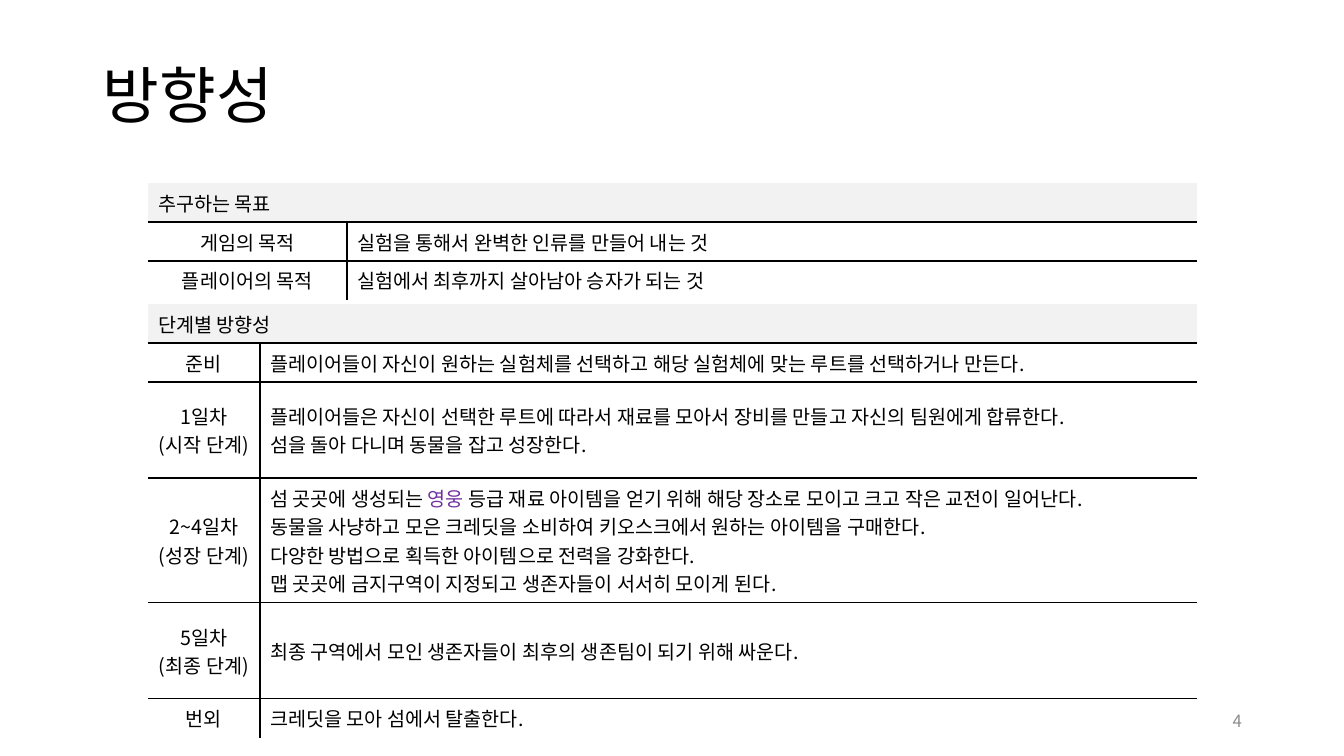
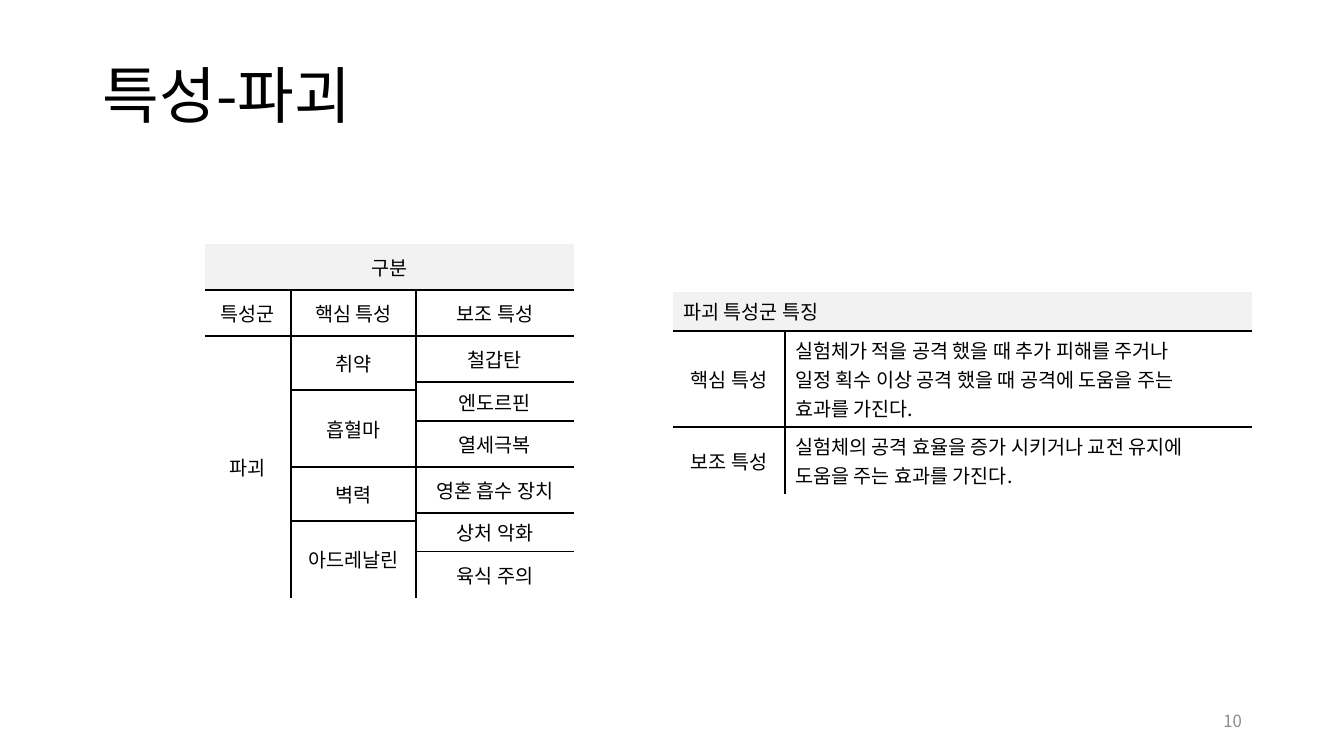
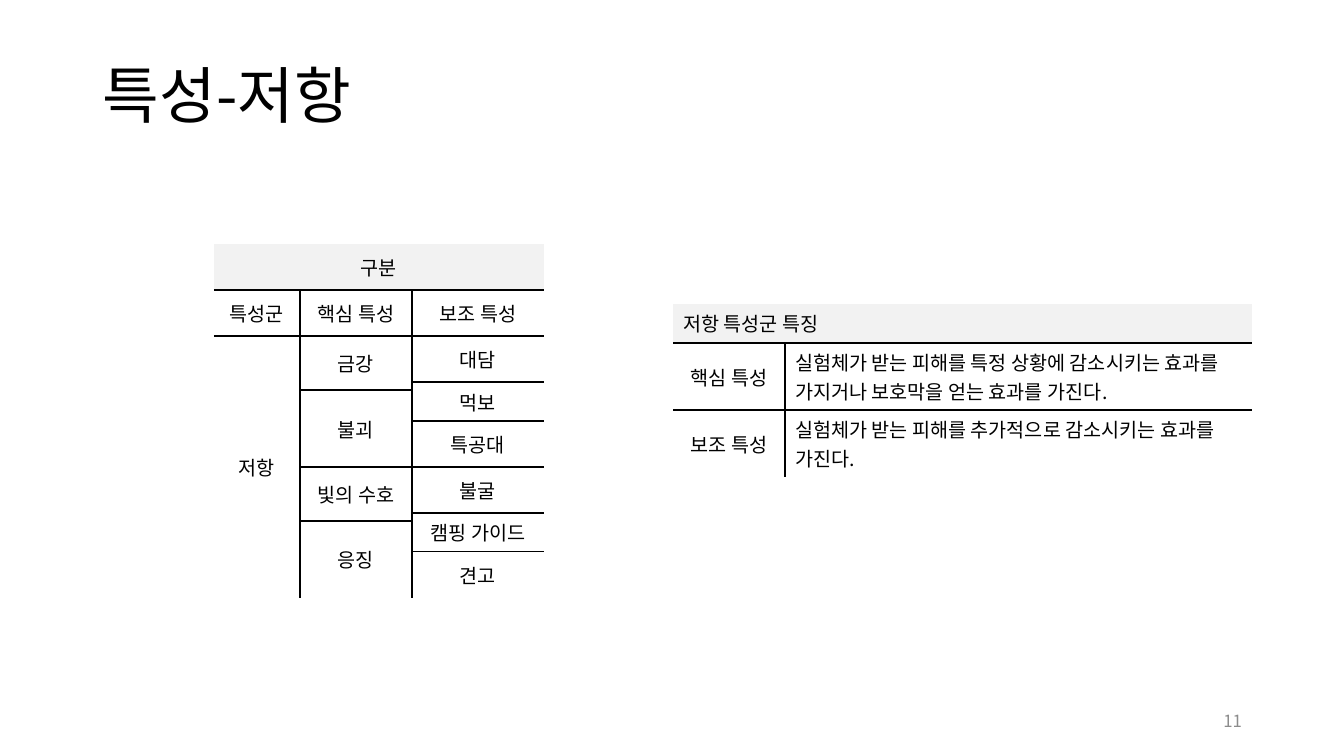
from lxml.etree import SubElement
from pptx import Presentation
from pptx.dml.color import RGBColor
from pptx.enum.text import MSO_ANCHOR, PP_ALIGN
from pptx.oxml.ns import qn
from pptx.util import Pt

SCALE = 914400 / 100.8
FONT = "Noto Sans CJK KR"
PLAIN = "{2D5ABB26-0587-4C30-8999-92F81FD0307C}"
BLACK = RGBColor(0x00, 0x00, 0x00)
GREY = RGBColor(0x8C, 0x8C, 0x8C)
PALE = RGBColor(0xF2, 0xF2, 0xF2)
PURPLE = RGBColor(0x70, 0x30, 0xA0)

LEFT, MID, RIGHT = PP_ALIGN.LEFT, PP_ALIGN.CENTER, PP_ALIGN.RIGHT
TITLE = {"size": 44, "color": BLACK, "align": LEFT, "space": 0.9}
PAGE = {"size": 12, "color": GREY, "align": RIGHT, "space": 1.0}
HEAD = {"size": 14, "color": BLACK, "align": LEFT, "space": 1.0}
LABEL = HEAD | {"align": MID}


def px(num):
    return round(num * SCALE)


def apply(item, values):
    for name, value in values.items():
        setattr(item, name, value)


def add_run(para, text, size, color):
    run = para.add_run()
    run.text = text
    apply(run.font, {"size": Pt(size), "name": FONT})
    run.font.color.rgb = color
    SubElement(run.font._element, qn("a:ea"), typeface=FONT)


def write(frame, text, style):
    frame.word_wrap = True
    for num, line in enumerate(text.split("\n")):
        para = frame.add_paragraph() if num else frame.paragraphs[0]
        apply(para, {"alignment": style["align"],
                     "line_spacing": style["space"]})
        for part, words in enumerate(line.split("|")):
            tint = PURPLE if part % 2 else style["color"]
            add_run(para, words, style["size"], tint)


def add_text(slide, spot, text, style):
    box = slide.shapes.add_textbox(*map(px, spot))
    box.text_frame.vertical_anchor = MSO_ANCHOR.MIDDLE
    write(box.text_frame, text, style)


def add_slide(deck, title, page):
    slide = deck.slides.add_slide(deck.slide_layouts[6])
    add_text(slide, (93, 40, 1159, 118), title, TITLE)
    add_text(slide, (950, 701, 302, 40), page, PAGE)
    return slide


def add_grid(slide, left, top, cols, rows):
    frame = slide.shapes.add_table(
        len(rows), len(cols), px(left), px(top), px(sum(cols)), px(sum(rows)))
    grid = frame.table
    apply(grid, {"first_row": False, "horz_banding": False})
    grid._tbl.tblPr.find(qn("a:tableStyleId")).text = PLAIN
    for col, wide in zip(grid.columns, cols):
        col.width = px(wide)
    for row, high in zip(grid.rows, rows):
        row.height = px(high)
    return grid


def add_edge(cell, side):
    line = SubElement(cell._tc.get_or_add_tcPr(), qn("a:ln" + side),
                      w=str(Pt(1)))
    fill = SubElement(line, qn("a:solidFill"))
    SubElement(fill, qn("a:srgbClr"), val=str(BLACK))


def fill_cell(grid, row, col, text, style, high=1, wide=1,
              shade=False, anchor=MSO_ANCHOR.MIDDLE):
    cell = grid.cell(row, col)
    end, last = row + high, col + wide
    if high * wide > 1:
        cell.merge(grid.cell(end - 1, last - 1))
    edges = {"L": col > 0, "R": last < len(grid.columns),
             "T": row > 0, "B": end < len(grid.rows)}
    for side, shown in edges.items():
        if shown:
            add_edge(cell, side)
    if shade:
        cell.fill.solid()
        cell.fill.fore_color.rgb = PALE
    else:
        cell.fill.background()
    cell.vertical_anchor = anchor
    write(cell.text_frame, text, style)


def add_list(slide, left, top, cols, head, items, anchor=MSO_ANCHOR.MIDDLE):
    rows = [39] + [high for high, _, _ in items]
    grid = add_grid(slide, left, top, cols, rows)
    fill_cell(grid, 0, 0, head, HEAD, wide=2, shade=True, anchor=anchor)
    for row, (_, label, text) in enumerate(items, 1):
        fill_cell(grid, row, 0, label, LABEL)
        fill_cell(grid, row, 1, text, HEAD, anchor=anchor)


def add_tree(slide, left, cols, group, cores, subs):
    rows = [46, 46] + [46, 8, 31, 46] * 2
    grid = add_grid(slide, left, 244, cols, rows)
    fill_cell(grid, 0, 0, "구분", LABEL, wide=3, shade=True)
    for col, text in enumerate(("특성군", "핵심 특성", "보조 특성")):
        fill_cell(grid, 1, col, text, LABEL)
    fill_cell(grid, 2, 0, group, LABEL, high=8)
    for num, text in enumerate(cores):
        fill_cell(grid, 2 + 2 * num, 1, text, LABEL, high=2)
    for num, text in enumerate(subs):
        half, step = divmod(num, 3)
        row = 2 + 4 * half + (0, 1, 3)[step]
        fill_cell(grid, row, 2, text, LABEL, high=(1, 2, 1)[step])


def add_trait(deck, page, group, left, cols, cores, subs, top, notes):
    slide = add_slide(deck, "특성-" + group, page)
    add_tree(slide, left, cols, group, cores, subs)
    items = [(high, label, text) for label, (high, text)
             in zip(("핵심 특성", "보조 특성"), notes)]
    add_list(slide, 673, top, (112, 467), group + " 특성군 특징", items,
             MSO_ANCHOR.TOP)


def add_goals(deck):
    slide = add_slide(deck, "방향성", "4")
    add_list(slide, 148, 183, (199, 850), "추구하는 목표", [
        (39, "게임의 목적", "실험을 통해서 완벽한 인류를 만들어 내는 것"),
        (39, "플레이어의 목적", "실험에서 최후까지 살아남아 승자가 되는 것"),
    ])
    add_list(slide, 148, 304, (112, 937), "단계별 방향성", [
        (39, "준비",
         "플레이어들이 자신이 원하는 실험체를 선택하고 "
         "해당 실험체에 맞는 루트를 선택하거나 만든다."),
        (96, "1일차\n(시작 단계)",
         "플레이어들은 자신이 선택한 루트에 따라서 재료를 모아서 "
         "장비를 만들고 자신의 팀원에게 합류한다.\n"
         "섬을 돌아 다니며 동물을 잡고 성장한다."),
        (125, "2~4일차\n(성장 단계)",
         "섬 곳곳에 생성되는 |영웅| 등급 재료 아이템을 얻기 위해 "
         "해당 장소로 모이고 크고 작은 교전이 일어난다.\n"
         "동물을 사냥하고 모은 크레딧을 소비하여 "
         "키오스크에서 원하는 아이템을 구매한다.\n"
         "다양한 방법으로 획득한 아이템으로 전력을 강화한다.\n"
         "맵 곳곳에 금지구역이 지정되고 생존자들이 서서히 모이게 된다."),
        (96, "5일차\n(최종 단계)",
         "최종 구역에서 모인 생존자들이 최후의 생존팀이 되기 위해 싸운다."),
        (39, "번외", "크레딧을 모아 섬에서 탈출한다."),
    ])


def main():
    deck = Presentation()
    apply(deck, {"slide_width": px(1344), "slide_height": px(756)})
    add_goals(deck)
    add_trait(
        deck, "10", "파괴", 205, (86, 125, 158),
        ("취약", "흡혈마", "벽력", "아드레날린"),
        ("철갑탄", "엔도르핀", "열세극복",
         "영혼 흡수 장치", "상처 악화", "육식 주의"),
        292,
        ((96, "실험체가 적을 공격 했을 때 추가 피해를 주거나\n"
              "일정 획수 이상 공격 했을 때 공격에 도움을 주는\n"
              "효과를 가진다."),
         (67, "실험체의 공격 효율을 증가 시키거나 교전 유지에\n"
              "도움을 주는 효과를 가진다.")))
    add_trait(
        deck, "11", "저항", 214, (86, 112, 132),
        ("금강", "불괴", "빛의 수호", "응징"),
        ("대담", "먹보", "특공대", "불굴", "캠핑 가이드", "견고"),
        304,
        ((67, "실험체가 받는 피해를 특정 상황에 감소시키는 효과를 "
              "가지거나 보호막을 얻는 효과를 가진다."),
         (67, "실험체가 받는 피해를 추가적으로 감소시키는 효과를 "
              "가진다.")))
    deck.save("out.pptx")


if __name__ == "__main__":
    main()
